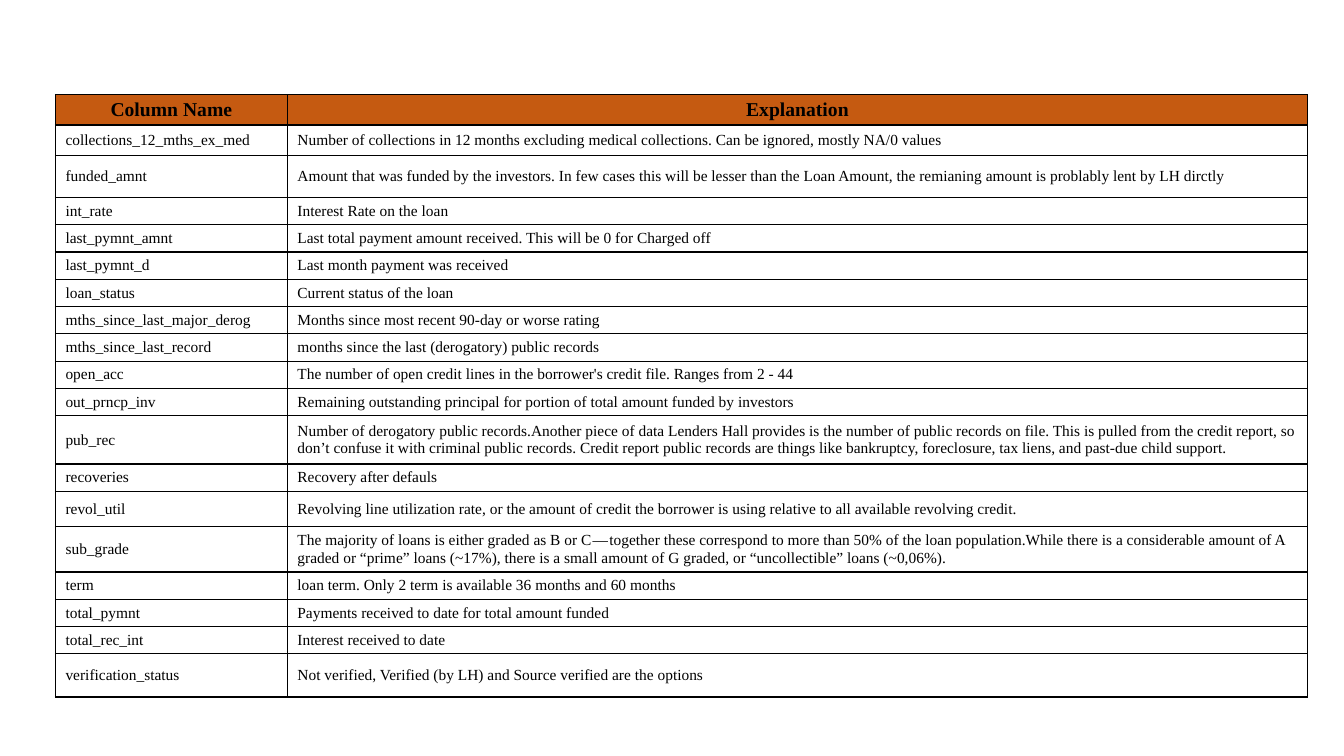
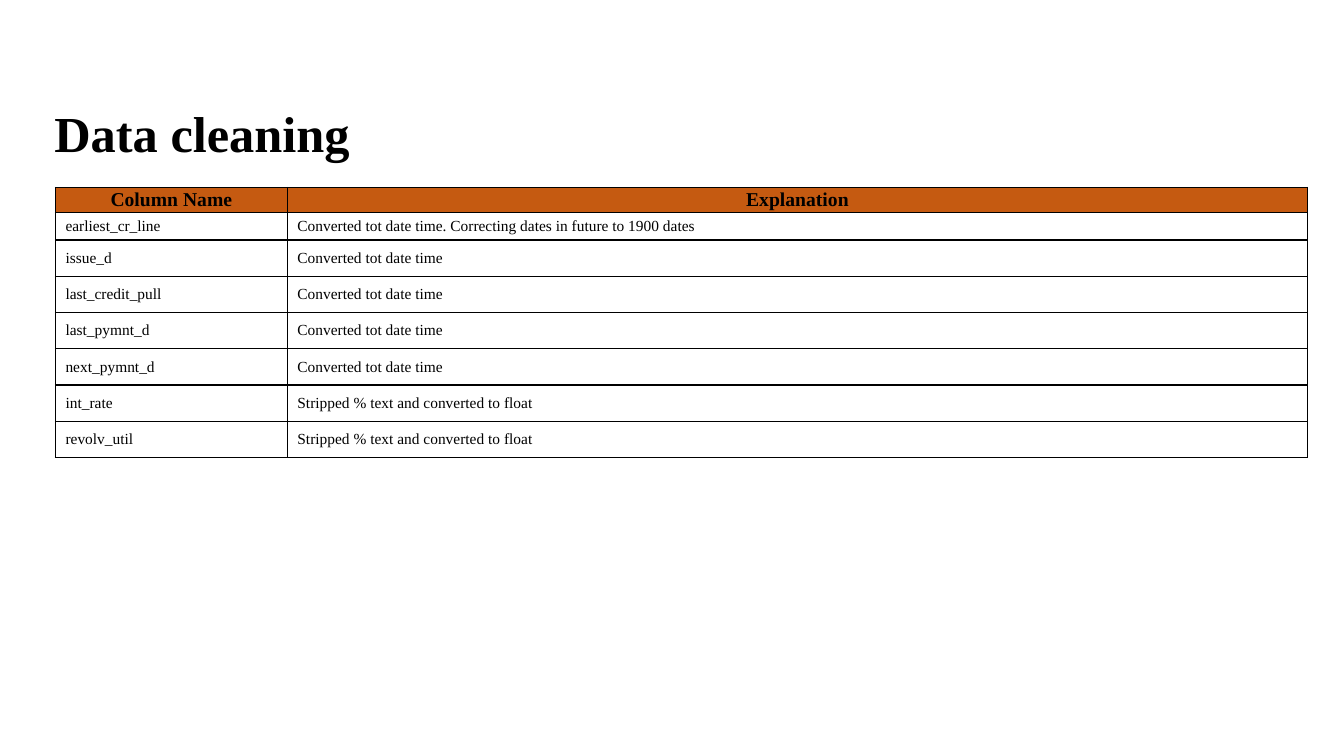
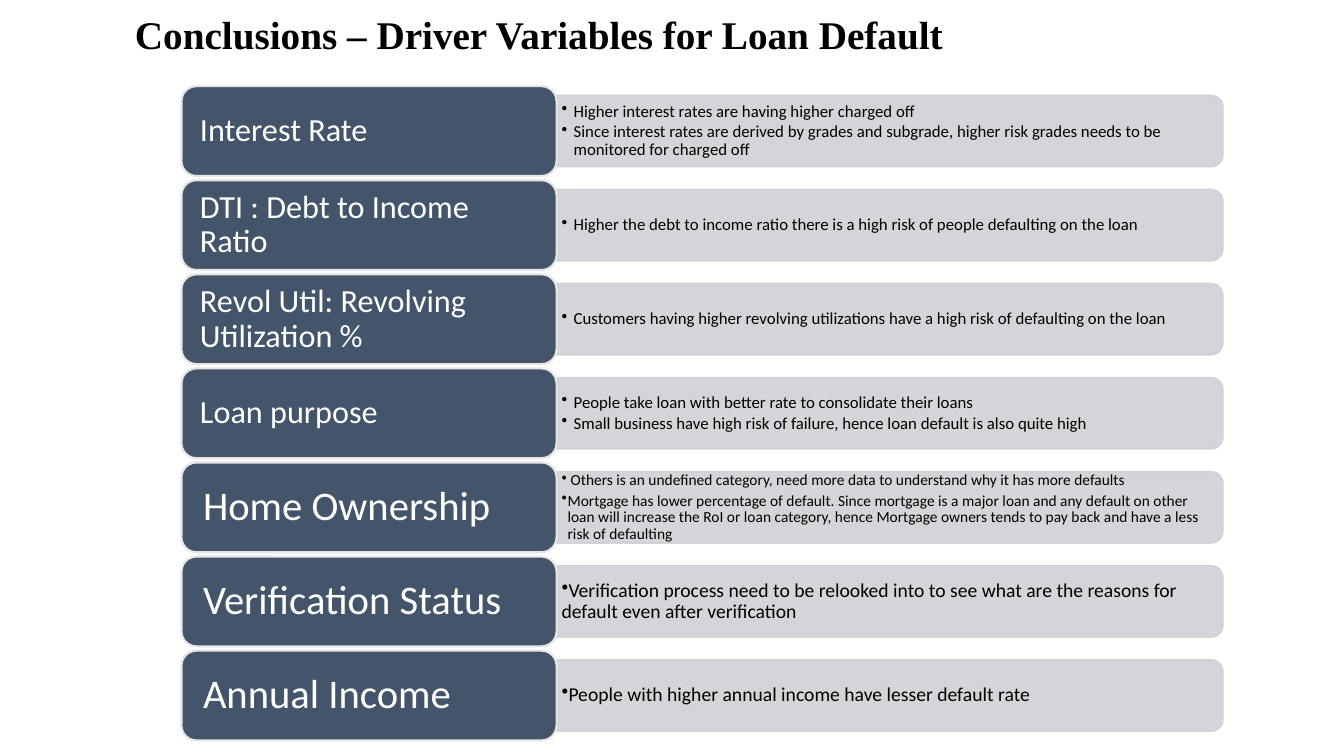
from dataclasses import dataclass

from lxml import etree
from pptx import Presentation
from pptx.dml import color
from pptx.enum import shapes, text
from pptx.oxml import ns
from pptx.util import Inches, Pt


@dataclass(frozen=True)
class Theme:
    """Colours, fonts and type sizes shared by the slides."""
    serif: str = "Times New Roman"
    sans: str = "Calibri"
    ink: str = "000000"
    white: str = "FFFFFF"
    header: str = "C55A11"
    label: str = "44546A"
    label_edge: str = "E7E6E6"
    bar: str = "CFD1D4"
    bar_alpha: int = 90000
    title: int = 36
    title_small: int = 28
    table_head: int = 14
    table_body: int = 11
    label_small: int = 23
    label_large: int = 29
    line_spacing: float = 0.9


THEME = Theme()
TABLE_LEFT = 0.55
TABLE_COLUMNS = (2.3, 10.12)
TABLE_HEADINGS = ("Column Name", "Explanation")
ROW = 0.27

LOAN_COLUMNS = [
    ("collections_12_mths_ex_med", "Number of collections in 12 months excluding medical "
     "collections. Can be ignored, mostly NA/0 values", 0.3),
    ("funded_amnt", "Amount that was funded by the investors. In few cases this will be lesser "
     "than the Loan Amount, the remianing amount is problably lent by LH dirctly", 0.42),
    ("int_rate", "Interest Rate on the loan", ROW),
    ("last_pymnt_amnt", "Last total payment amount received. This will be 0 for Charged off", ROW),
    ("last_pymnt_d", "Last month payment was received", ROW),
    ("loan_status", "Current status of the loan", ROW),
    ("mths_since_last_major_derog", "Months since most recent 90-day or worse rating", ROW),
    ("mths_since_last_record", "months since the last (derogatory) public records", ROW),
    ("open_acc", "The number of open credit lines in the borrower's credit file. "
     "Ranges from 2 - 44", ROW),
    ("out_prncp_inv", "Remaining outstanding principal for portion of total amount funded "
     "by investors", ROW),
    ("pub_rec", "Number of derogatory public records.Another piece of data Lenders Hall provides "
     "is the number of public records on file. This is pulled from the credit report, so don’t "
     "confuse it with criminal public records. Credit report public records are things like "
     "bankruptcy, foreclosure, tax liens, and past-due child support.", 0.48),
    ("recoveries", "Recovery after defauls", ROW),
    ("revol_util", "Revolving line utilization rate, or the amount of credit the borrower is "
     "using relative to all available revolving credit.", 0.35),
    ("sub_grade", "The majority of loans is either graded as B or C\u200a—\u200atogether these "
     "correspond to more than 50% of the loan population.While there is a considerable amount "
     "of A graded or “prime” loans (~17%), there is a small amount of G graded, or "
     "“uncollectible” loans (~0,06%).", 0.45),
    ("term", "loan term. Only 2 term is available 36 months and 60 months", ROW),
    ("total_pymnt", "Payments received to date for total amount funded", ROW),
    ("total_rec_int", "Interest received to date", ROW),
    ("verification_status", "Not verified, Verified (by LH) and Source verified are the options",
     0.43),
]

TO_DATE = "Converted tot date time"
TO_FLOAT = "Stripped % text and converted to float"
CLEANING_STEPS = [
    ("earliest_cr_line", TO_DATE + ". Correcting dates in future to 1900 dates", ROW),
    ("issue_d", TO_DATE, 0.36),
    ("last_credit_pull", TO_DATE, 0.36),
    ("last_pymnt_d", TO_DATE, 0.36),
    ("next_pymnt_d", TO_DATE, 0.36),
    ("int_rate", TO_FLOAT, 0.36),
    ("revolv_util", TO_FLOAT, 0.36),
]

# Bullet styles: size and space after in points, hanging indents in inches.
STANDARD = {"size": 12, "after": 1.8, "indents": (0.12, 0.12)}
DENSE = {"size": 11, "after": 3, "indents": (0.09, 0.06)}
FLUSH = {"size": 14, "after": 4.9, "indents": (0,)}

DRIVERS = [
    ("Interest Rate", THEME.label_small, STANDARD, [
        "Higher interest rates are having higher charged off",
        "Since interest rates are derived by grades and subgrade, higher risk grades needs to be "
        "monitored for charged off"]),
    ("DTI : Debt to Income Ratio", THEME.label_small, STANDARD, [
        "Higher the debt to income ratio there is a high risk of people defaulting on the loan"]),
    ("Revol Util: Revolving Utilization %", THEME.label_small, STANDARD, [
        "Customers having higher revolving utilizations have a high risk of defaulting "
        "on the loan"]),
    ("Loan purpose", THEME.label_small, STANDARD, [
        "People take loan with better rate to consolidate their loans",
        "Small business have high risk of failure, hence loan default is also quite high"]),
    ("Home Ownership", THEME.label_large, DENSE, [
        "Others is an undefined category, need more data to understand why it has more defaults",
        "Mortgage has lower percentage of default. Since mortgage is a major loan and any default "
        "on other loan will increase the RoI or loan category, hence Mortgage owners tends to "
        "pay back and have a less risk of defaulting"]),
    ("Verification Status", THEME.label_large, FLUSH, [
        "Verification process need to be relooked into to see what are the reasons for default "
        "even after verification"]),
    ("Annual Income", THEME.label_large, FLUSH, [
        "People with higher annual income have lesser default rate"]),
]


def apply(target, values):
    """Set attributes of an object from a dict."""
    for name, value in values.items():
        setattr(target, name, value)


def rgb(value):
    """Turn a hex string into a colour."""
    return color.RGBColor.from_string(value)


def write(para, words, size, face, ink=THEME.ink, bold=False, **layout):
    """Write one styled run into a paragraph."""
    span = para.add_run()
    span.text = words
    apply(span.font, {"size": Pt(size), "name": face, "bold": bold})
    span.font.color.rgb = rgb(ink)
    apply(para, layout)


def set_frame(frame, side, top):
    """Wrap a text frame, centre it vertically and set its margins."""
    apply(frame, {
        "word_wrap": True, "vertical_anchor": text.MSO_ANCHOR.MIDDLE,
        "margin_left": Inches(side), "margin_right": Inches(side),
        "margin_top": Inches(top), "margin_bottom": Inches(top)})


def add_text_box(page, left, top, width, height, side, top_margin):
    """Add an empty text box and return its frame."""
    box = page.shapes.add_textbox(Inches(left), Inches(top), Inches(width), Inches(height))
    set_frame(box.text_frame, side, top_margin)
    return box.text_frame


def add_title(page, words, left, top, height, size):
    """Add a slide title."""
    frame = add_text_box(page, left, top, 12.21, height, 0.1, 0.05)
    write(frame.paragraphs[0], words, size, THEME.serif, bold=True,
          line_spacing=THEME.line_spacing)


def add_borders(cell):
    """Draw a thin line on every side of a table cell."""
    properties = cell._tc.get_or_add_tcPr()
    for side in ("a:lnL", "a:lnR", "a:lnT", "a:lnB"):
        line = etree.SubElement(properties, ns.qn(side), w=str(Pt(1)))
        fill = etree.SubElement(line, ns.qn("a:solidFill"))
        etree.SubElement(fill, ns.qn("a:srgbClr"), val=THEME.ink)


def fill_cell(cell, words, heading):
    """Write and format a heading or body cell."""
    add_borders(cell)
    cell.vertical_anchor = text.MSO_ANCHOR.MIDDLE
    para = cell.text_frame.paragraphs[0]
    if heading:
        cell.fill.solid()
        cell.fill.fore_color.rgb = rgb(THEME.header)
        apply(cell, dict.fromkeys(
            ("margin_left", "margin_right", "margin_top", "margin_bottom"), 0))
        write(para, words, THEME.table_head, THEME.serif, bold=True,
              alignment=text.PP_ALIGN.CENTER)
    else:
        cell.fill.background()
        write(para, words, THEME.table_body, THEME.serif)


def add_dictionary(page, top, head_height, entries):
    """Add a table of column names and explanations."""
    rows = [(*TABLE_HEADINGS, head_height), *entries]
    height = sum(row[-1] for row in rows)
    table = page.shapes.add_table(
        len(rows), len(TABLE_COLUMNS), Inches(TABLE_LEFT), Inches(top),
        Inches(sum(TABLE_COLUMNS)), Inches(height)).table
    apply(table, {"first_row": False, "horz_banding": False})
    for column, width in zip(table.columns, TABLE_COLUMNS):
        column.width = Inches(width)
    for index, (*words, row_height) in enumerate(rows):
        table.rows[index].height = Inches(row_height)
        for cell, entry in zip(table.rows[index].cells, words):
            fill_cell(cell, entry, heading=index == 0)


def add_block(page, kind, left, top, width, height, fill, edge, weight):
    """Add a filled preset shape with an outline."""
    block = page.shapes.add_shape(
        kind, Inches(left), Inches(top), Inches(width), Inches(height))
    block.shadow.inherit = False
    block.fill.solid()
    block.fill.fore_color.rgb = rgb(fill)
    block.line.color.rgb = rgb(edge)
    block.line.width = Pt(weight)
    return block


def add_bar(page, left, middle, length, thickness):
    """Add a translucent bar with rounded right corners."""
    bar = add_block(page, shapes.MSO_SHAPE.ROUND_2_SAME_RECTANGLE,
                    left + (length - thickness) / 2, middle - length / 2,
                    thickness, length, THEME.bar, THEME.bar, 1)
    bar.rotation = 90
    for tint in bar._element.spPr.iter(ns.qn("a:srgbClr")):
        etree.SubElement(tint, ns.qn("a:alpha"), val=str(THEME.bar_alpha))


def add_bullets(frame, lines, style):
    """Write bulleted paragraphs with hanging indents."""
    for index, (words, indent) in enumerate(zip(lines, style["indents"])):
        para = frame.add_paragraph() if index else frame.paragraphs[0]
        write(para, words, style["size"], THEME.sans,
              line_spacing=THEME.line_spacing, space_after=Pt(style["after"]))
        properties = para._p.get_or_add_pPr()
        properties.set("marL", str(Inches(indent)))
        properties.set("indent", str(Inches(-indent)))
        etree.SubElement(properties, ns.qn("a:buChar"), char="•")


def add_driver(page, middle, name, size, style, lines):
    """Add one driver: a bar, its bullets and a label."""
    left, width, height = 1.8, 3.72, 0.89
    right = left + width
    add_bar(page, right, middle, 6.61, 0.71)
    frame = add_text_box(page, right, middle - 0.32, 6.57, 0.64, 0.05, 0.03)
    add_bullets(frame, lines, style)
    label = add_block(page, shapes.MSO_SHAPE.ROUNDED_RECTANGLE, left, middle - height / 2,
                      width, height, THEME.label, THEME.label_edge, 1.5)
    set_frame(label.text_frame, 0.17 if size == THEME.label_large else 0.14, 0.05)
    write(label.text_frame.paragraphs[0], name, size, THEME.sans, THEME.white,
          alignment=text.PP_ALIGN.LEFT, line_spacing=THEME.line_spacing)


def main():
    """Build and save the deck."""
    deck = Presentation()
    apply(deck, {"slide_width": Inches(13.33), "slide_height": Inches(7.5)})
    columns, cleaning, conclusions = (
        deck.slides.add_slide(deck.slide_layouts[6]) for _ in range(3))

    add_dictionary(columns, 0.94, 0.3, LOAN_COLUMNS)

    add_dictionary(cleaning, 1.86, 0.25, CLEANING_STEPS)
    add_title(cleaning, "Data cleaning", 0.44, 0.88, 0.94, THEME.title)

    add_title(conclusions, "Conclusions – Driver Variables for Loan Default",
              1.24, 0, 0.73, THEME.title_small)
    first, last = 1.3, 6.9
    pitch = (last - first) / (len(DRIVERS) - 1)
    for index, driver in enumerate(DRIVERS):
        add_driver(conclusions, first + index * pitch, *driver)

    deck.save("out.pptx")


main()
